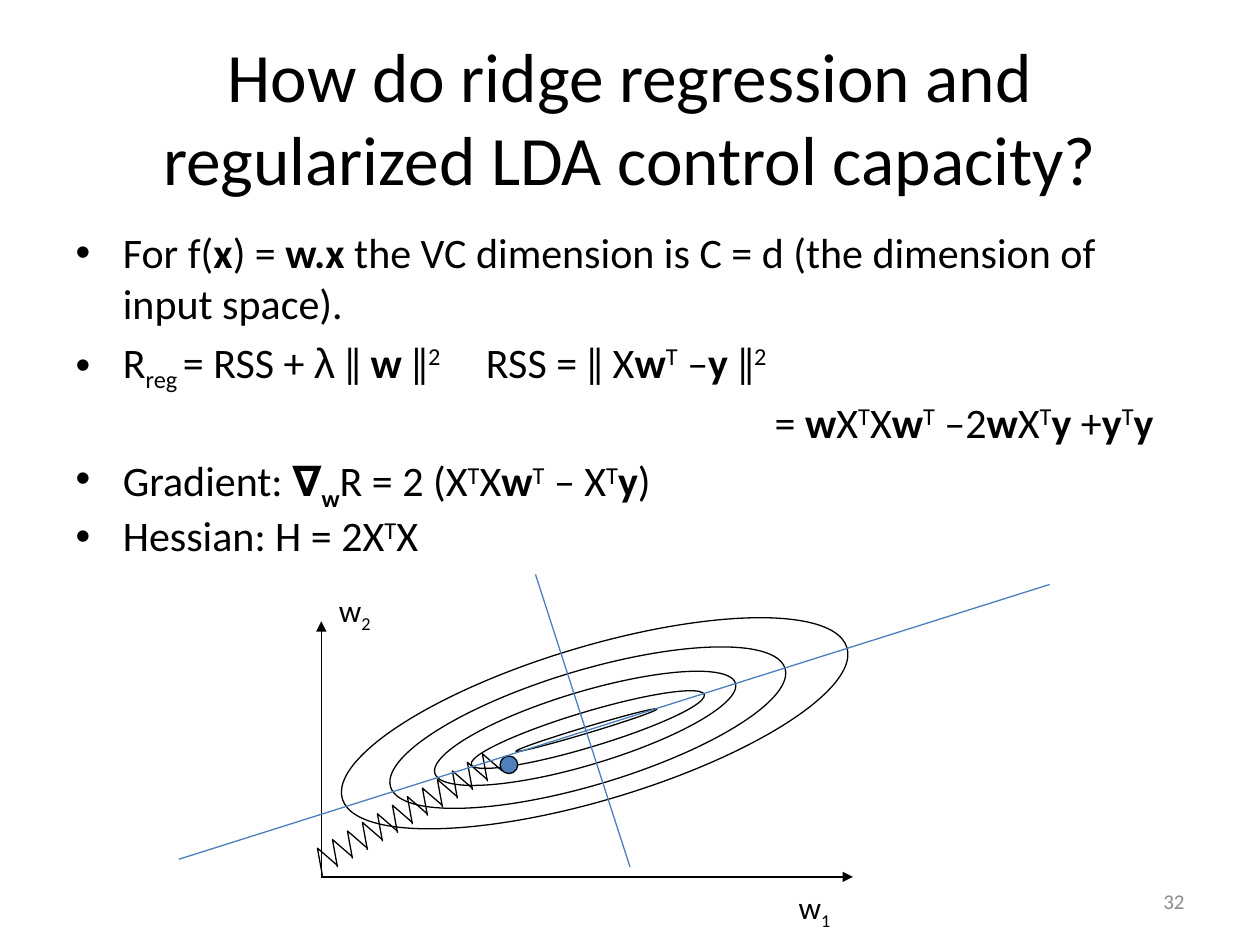
import dataclasses

import pptx
import pptx.dml.color
import pptx.enum.shapes
import pptx.enum.text
import pptx.oxml.ns
import pptx.util
from lxml import etree

Pt = pptx.util.Pt
RGB = pptx.dml.color.RGBColor
SHAPE = pptx.enum.shapes.MSO_SHAPE
ALIGN = pptx.enum.text.PP_ALIGN
ANCHOR = pptx.enum.text.MSO_ANCHOR
qn = pptx.oxml.ns.qn


@dataclasses.dataclass(frozen=True)
class Theme:
    font: str = "Calibri"
    greek_font: str = "Arial"
    ink: RGB = RGB(0, 0, 0)
    muted: RGB = RGB(0x8C, 0x8C, 0x8C)
    accent: RGB = RGB(0x4F, 0x81, 0xBD)
    axis: RGB = RGB(0x4B, 0x7E, 0xBC)
    title: float = 39.6
    body: float = 24
    label: float = 18
    number: float = 12
    line: float = 0.75


T = Theme()
BASELINE = {"^": "30000", "_": "-25000"}

BULLETS = [
    [("For f(", ""), ("x", "b"), (") = ", ""), ("w.x ", "b"),
     ("the VC dimension is C = d (the dimension of input space).", "")],
    [("R", ""), ("reg ", "_"), ("= RSS + ", ""), ("λ", "g"), (" ǁ ", ""),
     ("w ", "b"), ("ǁ", ""), ("2", "^"), ("\tRSS = ǁ X", ""), ("w", "b"),
     ("T", "^"), (" –", ""), ("y", "b"), (" ǁ", ""), ("2", "^")],
    [("= ", ""), ("w", "b"), ("X", ""), ("T", "^"), ("X", ""), ("w", "b"),
     ("T", "^"), (" –2", ""), ("w", "b"), ("X", ""), ("T", "^"), ("y", "b"),
     (" +", ""), ("y", "b"), ("T", "^"), ("y", "b")],
    [("Gradient:", ""), (" ∇", "b"), ("w", "b_"), ("R = 2 (X", ""),
     ("T", "^"), ("X", ""), ("w", "b"), ("T", "^"), (" – X", ""),
     ("T", "^"), ("y", "b"), (")", "")],
    [("Hessian: H = 2X", ""), ("T", "^"), ("X", "")],
]


def place(sp, x, y, w, h):
    sp.left, sp.top, sp.width, sp.height = Pt(x), Pt(y), Pt(w), Pt(h)


def style_run(r, size, color=T.ink, style=""):
    r.font.size = Pt(size)
    r.font.name = T.greek_font if "g" in style else T.font
    r.font.color.rgb = color
    r.font.bold = "b" in style
    for mark, value in BASELINE.items():
        if mark in style:
            r._r.get_or_add_rPr().set("baseline", value)


def add_runs(p, parts, size):
    for text, style in parts:
        r = p.add_run()
        r.text = text
        style_run(r, size, style=style)


def outline(sp, fill=None):
    sp.shadow.inherit = False
    sp.line.color.rgb = T.ink
    sp.line.width = Pt(T.line)
    if fill is None:
        sp.fill.background()
    else:
        sp.fill.solid()
        sp.fill.fore_color.rgb = fill


def add_line(shapes, x1, y1, x2, y2, color, arrow=False):
    kind = pptx.enum.shapes.MSO_CONNECTOR.STRAIGHT
    sp = shapes.add_connector(kind, Pt(x1), Pt(y1), Pt(x2), Pt(y2))
    sp.line.color.rgb = color
    sp.line.width = Pt(T.line)
    if arrow:
        etree.SubElement(sp.line._get_or_add_ln(), qn("a:tailEnd"), type="triangle")
    etree.SubElement(sp._element.spPr, qn("a:effectLst"))


def add_title(s, x, y, w, h):
    sp = s.shapes.title
    place(sp, x, y, w, h)
    tf = sp.text_frame
    tf.auto_size = pptx.enum.text.MSO_AUTO_SIZE.NONE
    tf.vertical_anchor = ANCHOR.MIDDLE
    p = tf.paragraphs[0]
    p.text = "How do ridge regression and regularized LDA control capacity?"
    p.alignment = ALIGN.CENTER
    style_run(p.runs[0], T.title)


def add_body(s, x, y, w, h):
    sp = s.placeholders[1]
    place(sp, x, y, w, h)
    tf = sp.text_frame
    tf.auto_size = pptx.enum.text.MSO_AUTO_SIZE.NONE
    for i, parts in enumerate(BULLETS):
        p = tf.paragraphs[0] if i == 0 else tf.add_paragraph()
        pPr = p._p.get_or_add_pPr()
        if i == 1:
            tabs = etree.SubElement(pPr, qn("a:tabLst"))
            etree.SubElement(tabs, qn("a:tab"), pos=str(Pt(234.5)), algn="l")
        if i == 2:
            p.level = 1
            pPr.set("marL", str(Pt(399.5)))
            pPr.set("indent", "0")
            etree.SubElement(pPr, qn("a:buNone"))
        if i >= 2:
            p.line_spacing = 0.9
        add_runs(p, parts, T.body)


def add_number(s, x, y, w, h):
    tf = s.shapes.add_textbox(Pt(x), Pt(y), Pt(w), Pt(h)).text_frame
    tf.word_wrap = True
    tf.vertical_anchor = ANCHOR.MIDDLE
    p = tf.paragraphs[0]
    p.text = "32"
    p.alignment = ALIGN.RIGHT
    style_run(p.runs[0], T.number, T.muted)


def add_contours(s, x, y, w, h):
    shapes = s.shapes.add_group_shape().shapes
    ox, oy = x + 3.6, y + h
    add_line(shapes, ox, oy, ox, y + 21, T.ink, arrow=True)
    add_line(shapes, ox, oy, x + w, oy, T.ink, arrow=True)

    for index, dx, dy, width in (("1", 269.3, 170, 62.6), ("2", 6.5, 0, 44.6)):
        sp = shapes.add_textbox(Pt(x + dx), Pt(y + dy), Pt(width), Pt(36))
        sp.text_frame.word_wrap = True
        add_runs(sp.text_frame.paragraphs[0], [("w", ""), (index, "_")], T.label)

    for cx, cy, ew, eh in ((159.8, 79.3, 301, 87.8), (155.9, 81.8, 235.4, 65.5),
                           (154.4, 82.2, 179.3, 41.8), (155.9, 82.9, 139, 20.2),
                           (155.2, 83.2, 84.2, 3.6)):
        sp = shapes.add_shape(SHAPE.OVAL, Pt(x + cx - ew / 2), Pt(y + cy - eh / 2),
                              Pt(ew), Pt(eh))
        sp.rotation = 343.3
        outline(sp)

    dot = shapes.add_shape(SHAPE.OVAL, Pt(x + 105.8), Pt(y + 98), Pt(10.1), Pt(10.1))
    outline(dot, T.accent)

    for i in range(12):
        zx, zy = x + 4.3 + 8.57 * i, y + 166.4 - 4.9 * i
        fb = shapes.build_freeform(Pt(zx), Pt(zy))
        fb.add_line_segments([(Pt(zx - 2.9), Pt(zy - 15.8)),
                              (Pt(zx + 8.6), Pt(zy - 5.8))], close=False)
        outline(fb.convert_to_shape())

    add_line(s.shapes, x - 77.8, y + 157, x + 419.8, y, T.axis)
    add_line(s.shapes, x + 126, y - 5.7, x + 180, y + 161.4, T.axis)


def main():
    prs = pptx.Presentation()
    prs.slide_width, prs.slide_height = Pt(720), Pt(540)
    s = prs.slides.add_slide(prs.slide_layouts[1])
    add_title(s, 36, 21.6, 648, 90)
    add_body(s, 36, 126, 636, 356.4)
    add_number(s, 516, 500.5, 168, 28.8)
    add_contours(s, 180, 334, 307.4, 167.1)
    prs.save("out.pptx")


if __name__ == "__main__":
    main()
